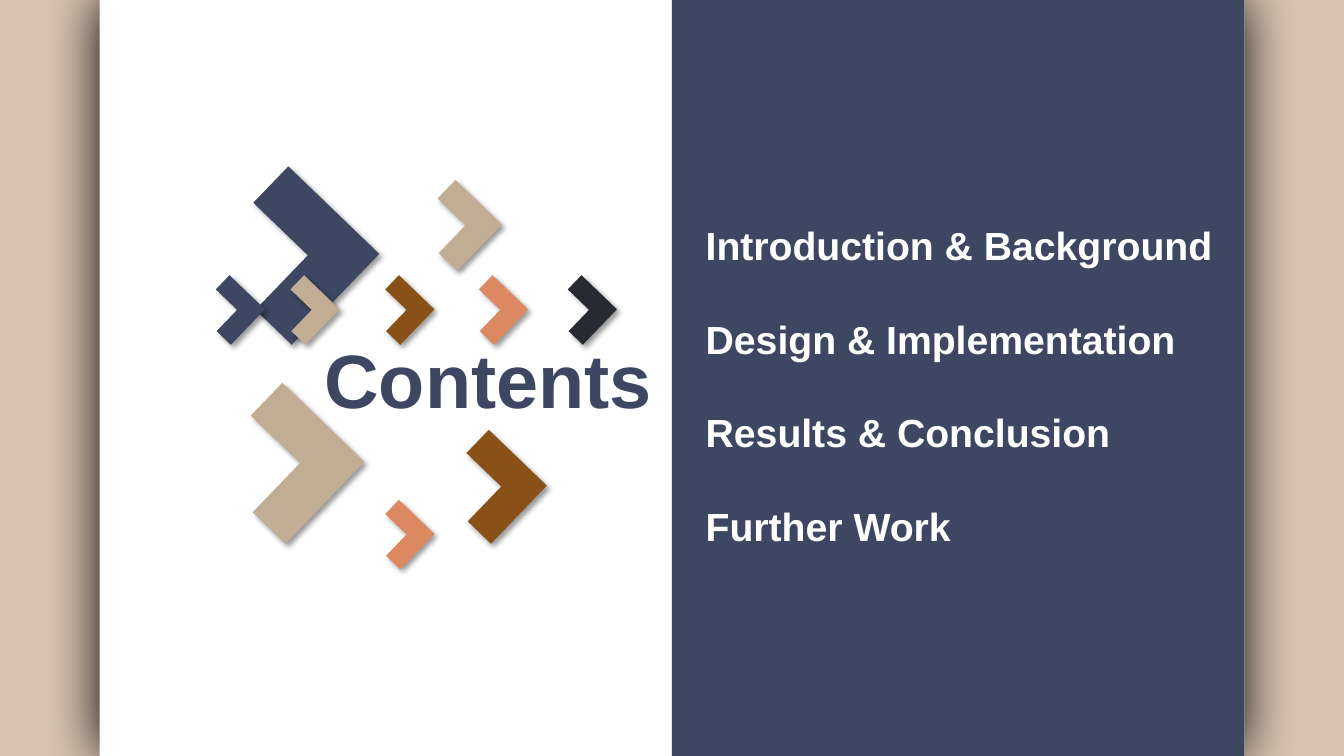
from lxml.etree import SubElement
from pptx import Presentation
from pptx.dml.color import RGBColor
from pptx.enum.shapes import MSO_SHAPE
from pptx.enum.text import MSO_ANCHOR, MSO_AUTO_SIZE, PP_ALIGN
from pptx.oxml.ns import qn
from pptx.util import Cm, Pt

COLOURS = {
    "sand": "D8C3B1", "white": "FFFFFF", "navy": "3D4762", "beige": "C1AC94",
    "brown": "895018", "coral": "DC8962", "charcoal": "272A30", "black": "000000",
}
CHEVRON_OUTLINE = [(0, 0), (0.4, 0), (0.4, 0.6), (1, 0.6), (1, 1), (0, 1)]
CHEVRON_ANGLE = 223.9
SMALL, ROW_TOP = 1.24, 7.19
CHEVRONS = [
    (10.69, 4.87, 1.62, "beige"),
    (5.72, 4.85, 3.18, "navy"),
    (7.06, ROW_TOP, SMALL, "beige"),
    (5.18, ROW_TOP, SMALL, "navy"),
    (9.45, ROW_TOP, SMALL, "brown"),
    (11.81, ROW_TOP, SMALL, "coral"),
    (14.05, ROW_TOP, SMALL, "charcoal"),
    (5.72, 10.24, 2.87, "beige"),
    (11.33, 11.25, 2.03, "brown"),
    (9.45, 12.85, SMALL, "coral"),
]
SECTIONS = ["Introduction & Background", "Design & Implementation",
            "Results & Conclusion", "Further Work"]


class ContentsSlide:
    """Hold the style and the current slide, and draw each kind of element."""

    font = "Arial"

    def __init__(self, deck):
        """Add a title-and-content slide with a plain background."""
        self.slide = deck.slides.add_slide(deck.slide_layouts[1])
        self.paint(self.slide.background.fill, "sand")

    def paint(self, fill, colour):
        """Give a fill one solid colour."""
        fill.solid()
        fill.fore_color.rgb = RGBColor.from_string(COLOURS[colour])

    def finish(self, shape, colour):
        """Set the fill of a shape and remove its line and shadow."""
        self.paint(shape.fill, colour)
        shape.line.fill.background()
        shape.shadow.inherit = False

    def cast_shadow(self, shape, opacity, blur, distance, angle):
        """Give a shape an outer shadow that ignores its rotation."""
        effects = shape.element.spPr.find(qn("a:effectLst"))
        shadow = SubElement(effects, qn("a:outerShdw"), blurRad=str(Pt(blur)),
                            dist=str(Pt(distance)), dir=str(angle * 60000),
                            algn="ctr", rotWithShape="0")
        tint = SubElement(shadow, qn("a:srgbClr"), val=COLOURS["black"])
        SubElement(tint, qn("a:alpha"), val=str(opacity * 1000))

    def panel(self, left, width, colour):
        """Draw a full-height panel."""
        panel = self.slide.shapes.add_shape(
            MSO_SHAPE.RECTANGLE, Cm(left), Cm(0), Cm(width), Cm(19.05))
        self.finish(panel, colour)
        return panel

    def chevron(self, left, top, size, colour):
        """Draw a right-pointing chevron as a turned L."""
        corners = [(Cm(left + x * size), Cm(top + y * size))
                   for x, y in CHEVRON_OUTLINE]
        builder = self.slide.shapes.build_freeform(*corners[0])
        builder.add_line_segments(corners[1:])
        chevron = builder.convert_to_shape()
        chevron.rotation = CHEVRON_ANGLE
        self.finish(chevron, colour)
        self.cast_shadow(chevron, 40, 4, 3, 45)

    def place(self, holder, left, top, width, height, wrap):
        """Bring a placeholder to the front and set its box."""
        holder.left, holder.top = Cm(left), Cm(top)
        holder.width, holder.height = Cm(width), Cm(height)
        holder.element.getparent().append(holder.element)
        frame = holder.text_frame
        frame.word_wrap = wrap
        frame.auto_size = MSO_AUTO_SIZE.NONE
        frame.vertical_anchor = MSO_ANCHOR.TOP
        return frame

    def add_text(self, paragraph, text, size, colour):
        """Add one bold run to a left-aligned paragraph."""
        paragraph.alignment = PP_ALIGN.LEFT
        paragraph.line_spacing = 1.0
        run = paragraph.add_run()
        run.text = text
        run.font.name, run.font.size, run.font.bold = self.font, Pt(size), True
        run.font.color.rgb = RGBColor.from_string(COLOURS[colour])

    def title(self, text):
        """Set the slide title."""
        frame = self.place(self.slide.shapes.title, 7.92, 8.26, 8.81, 2.57, True)
        self.add_text(frame.paragraphs[0], text, 54, "navy")

    def sections(self, names):
        """List the sections, evenly spaced and without bullets."""
        frame = self.place(self.slide.placeholders[1], 17.53, 5.46, 13.44, 8.36, False)
        for index, name in enumerate(names):
            entry = frame.add_paragraph() if index else frame.paragraphs[0]
            entry.space_before = Pt(33.1 if index else 0)
            properties = entry._p.get_or_add_pPr()
            properties.set("marL", "0")
            properties.set("indent", "0")
            SubElement(properties, qn("a:buNone"))
            self.add_text(entry, name, 28, "white")


def main():
    """Build and save the contents slide."""
    deck = Presentation()
    deck.slide_width, deck.slide_height = Cm(33.87), Cm(19.05)
    contents = ContentsSlide(deck)
    page = contents.panel(2.51, 28.85, "white")
    contents.cast_shadow(page, 99, 40, 0, 0)
    for chevron in CHEVRONS:
        contents.chevron(*chevron)
    contents.title("Contents")
    contents.panel(16.93, 14.43, "navy")
    contents.sections(SECTIONS)
    deck.save("out.pptx")


if __name__ == "__main__":
    main()
